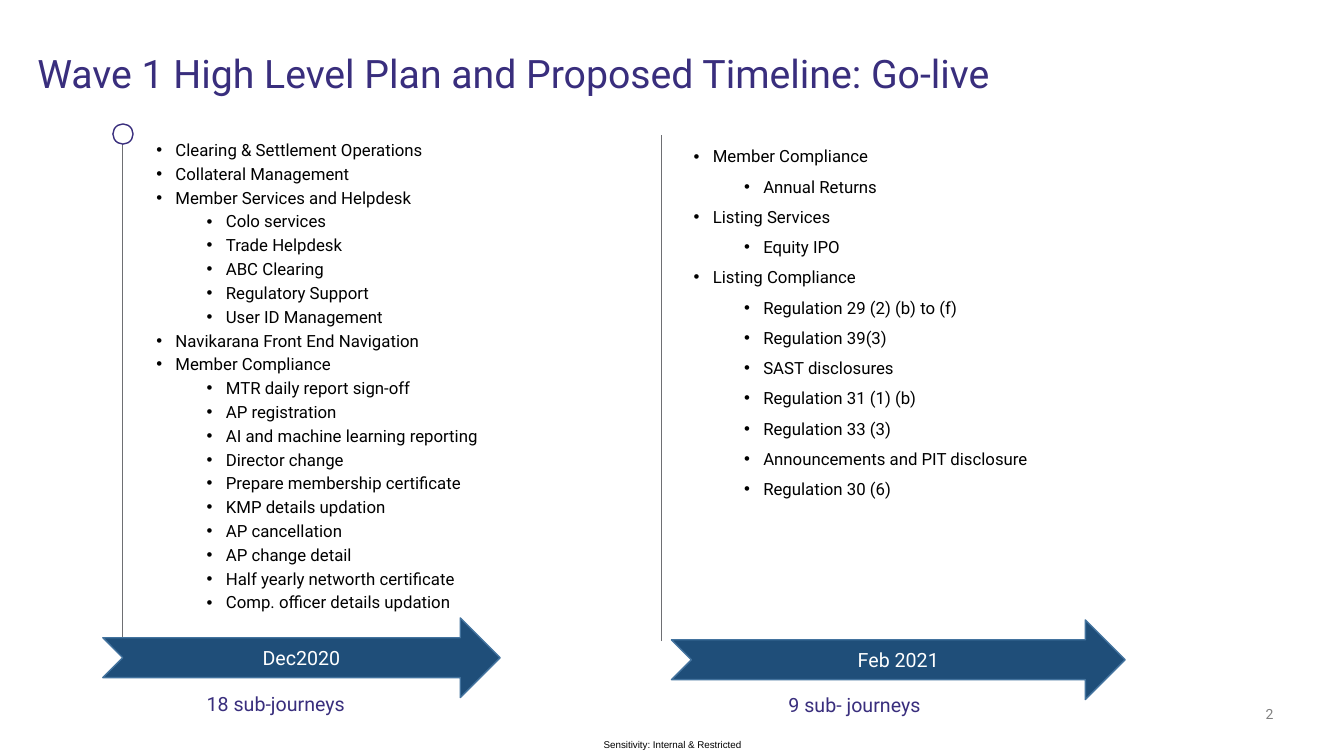
from lxml.etree import SubElement as Sub
from pptx import Presentation
from pptx.dml.color import RGBColor as Rgb
from pptx.enum.shapes import MSO_CONNECTOR as Conn, MSO_SHAPE as Shape
from pptx.enum.text import MSO_ANCHOR as Anchor, MSO_AUTO_SIZE as Auto, PP_ALIGN as Align
from pptx.oxml.ns import qn
from pptx.util import Inches, Pt

COLORS = {
    "purple": "392E7D", "navy": "1F4E79", "edge": "43739E", "line": "6E6F73",
    "gray": "808080", "black": "000000", "white": "FFFFFF",
}

DEC = [
    ("Clearing & Settlement Operations", []),
    ("Collateral Management", []),
    ("Member Services and Helpdesk", [
        "Colo services", "Trade Helpdesk", "ABC Clearing",
        "Regulatory Support", "User ID Management"]),
    ("Navikarana Front End Navigation", []),
    ("Member Compliance", [
        "MTR daily report sign-off", "AP registration",
        "AI and machine learning reporting", "Director change",
        "Prepare membership certificate", "KMP details updation",
        "AP cancellation", "AP change detail",
        "Half yearly networth certificate", "Comp. officer details updation"]),
]

FEB = [
    ("Member Compliance", ["Annual Returns"]),
    ("Listing Services", ["Equity IPO"]),
    ("Listing Compliance", [
        "Regulation 29 (2) (b) to (f)", "Regulation 39(3)", "SAST disclosures",
        "Regulation 31 (1) (b)", "Regulation 33 (3)",
        "Announcements and PIT disclosure", "Regulation 30 (6)"]),
]


def color(name):
    return Rgb.from_string(COLORS[name])


def place(shape, box):
    shape.left, shape.top, shape.width, shape.height = map(Inches, box)


def frame(shape, anchor=Anchor.TOP):
    body = shape.text_frame
    body.word_wrap = True
    body.auto_size = Auto.NONE
    body.vertical_anchor = anchor
    body.margin_left = body.margin_right = body.margin_top = body.margin_bottom = 0
    return body


def write(para, text, size=12, tint="black", font="Roboto", align=Align.LEFT):
    para.alignment = align
    run = para.add_run()
    run.text = text
    run.font.size = Pt(size)
    run.font.name = font
    run.font.color.rgb = color(tint)


def label(slide, text, box, anchor=Anchor.TOP, **style):
    shape = slide.shapes.add_textbox(*map(Inches, box))
    write(frame(shape, anchor).paragraphs[0], text, **style)


def bullet(para, level):
    para.level = level
    props = para._p.get_or_add_pPr()
    props.set("marL", str(Inches(0.19 + 0.5 * level)))
    props.set("indent", str(Inches(-0.19)))
    Sub(props, qn("a:buFont")).set("typeface", "Arial")
    Sub(props, qn("a:buChar")).set("char", "•")


def outline(holder, groups, box, pitch):
    place(holder, box)
    body = frame(holder)
    rows = [row for head, subs in groups
            for row in [(head, 0)] + [(sub, 1) for sub in subs]]
    for i, (text, level) in enumerate(rows):
        para = body.add_paragraph() if i else body.paragraphs[0]
        para.line_spacing = pitch
        para.space_before = para.space_after = Pt(0)
        bullet(para, level)
        write(para, text)


def stem(slide, x, top, end):
    line = slide.shapes.add_connector(
        Conn.STRAIGHT, Inches(x), Inches(end), Inches(x), Inches(top))
    line.line.color.rgb = color("line")
    line.line.width = Pt(0.75)
    Sub(line._element.spPr, qn("a:effectLst"))


def solid(slide, kind, box, fill, edge):
    shape = slide.shapes.add_shape(kind, *map(Inches, box))
    shape.shadow.inherit = False
    shape.fill.solid()
    shape.fill.fore_color.rgb = color(fill)
    shape.line.color.rgb = color(edge)
    shape.line.width = Pt(1)
    return shape


def arrow(slide, text, box):
    shape = solid(slide, Shape.NOTCHED_RIGHT_ARROW, box, "navy", "edge")
    write(frame(shape, Anchor.MIDDLE).paragraphs[0], text,
          size=14, tint="white", align=Align.CENTER)


def main():
    deck = Presentation()
    deck.slide_width, deck.slide_height = Inches(13.33), Inches(7.5)
    slide = deck.slides.add_slide(deck.slide_layouts[3])
    title, left, right = slide.placeholders

    place(title, (0.37, 0.49, 12.5, 0.47))
    write(frame(title).paragraphs[0],
          "Wave 1 High Level Plan and Proposed Timeline: Go-live",
          size=28, tint="purple")
    outline(left, DEC, (1.55, 1.35, 3.6, 5.01), Pt(17))
    outline(right, FEB, (6.88, 1.35, 4.13, 4.36), 1.5)

    stem(slide, 6.56, 1.34, 6.36)
    stem(slide, 1.22, 1.31, 6.34)
    solid(slide, Shape.OVAL, (1.12, 1.23, 0.2, 0.2), "white", "purple")

    arrow(slide, "Dec2020", (1.02, 6.13, 3.94, 0.79))
    arrow(slide, "Feb 2021", (6.66, 6.15, 4.5, 0.79))
    label(slide, "18 sub-journeys", (2.05, 6.86, 2.26, 0.24), size=14, tint="purple")
    label(slide, "9 sub- journeys", (7.82, 6.87, 2.26, 0.24), size=14, tint="purple")

    label(slide, "Sensitivity: Internal & Restricted", (5.85, 7.28, 1.64, 0.22),
          anchor=Anchor.MIDDLE, size=7, font="Arial", align=Align.CENTER)
    label(slide, "2", (12.21, 7, 0.42, 0.17), anchor=Anchor.BOTTOM,
          size=10, tint="gray", align=Align.RIGHT)
    deck.save("out.pptx")


if __name__ == "__main__":
    main()
